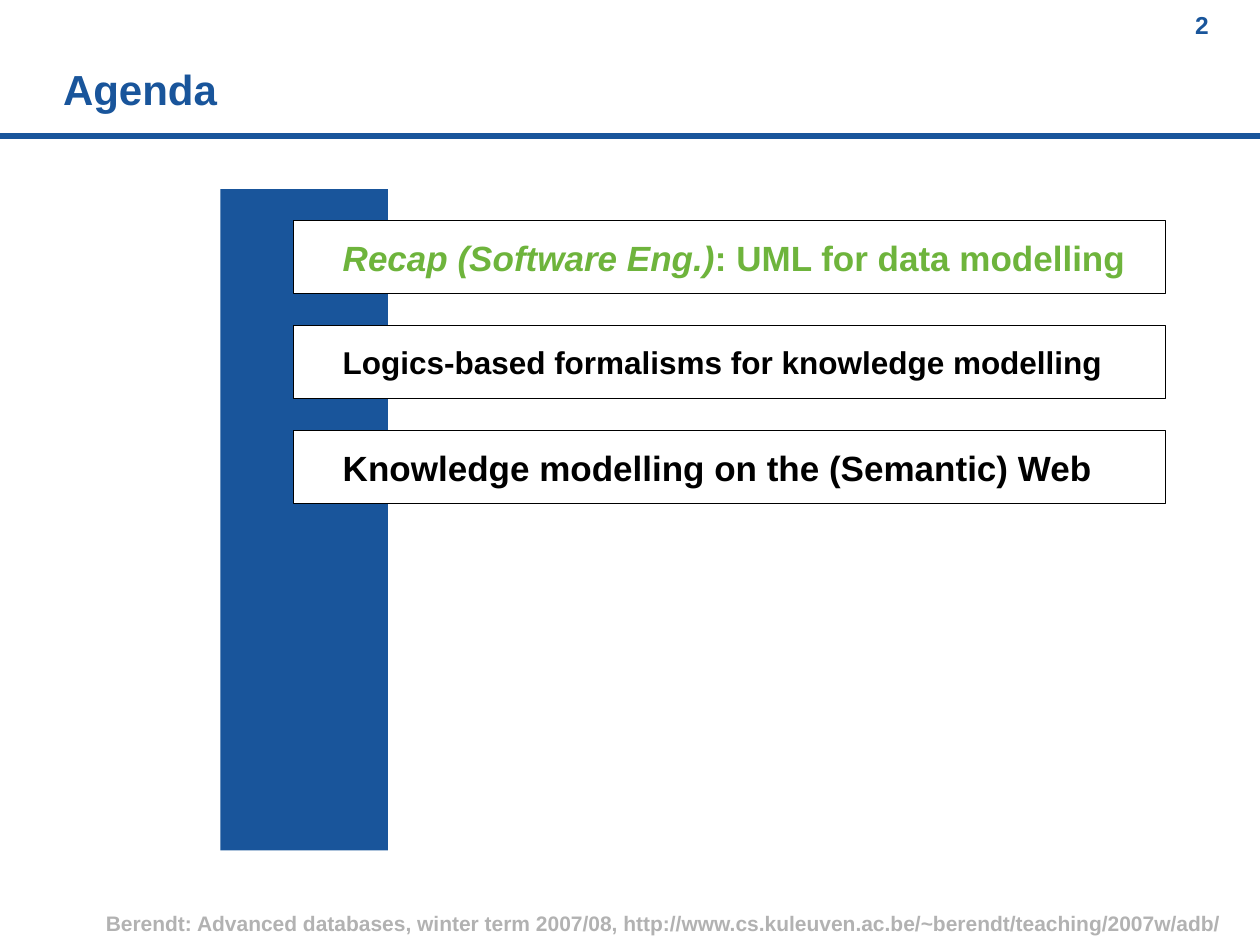
from pptx import Presentation
from pptx.dml.color import RGBColor
from pptx.enum import shapes, text
from pptx.oxml.ns import qn
from pptx.util import Inches, Pt

COLORS = {"blue": "19559B", "green": "6EB43C", "gray": "B2B2B2",
          "black": "000000", "white": "FFFFFF"}
FONT = "Arial"


def rgb(name):
    return RGBColor.from_string(COLORS[name])


def format_text(tf, size, color, align=text.PP_ALIGN.LEFT,
                anchor=text.MSO_ANCHOR.TOP, left=0, wrap=False):
    tf.word_wrap = wrap
    tf.auto_size = text.MSO_AUTO_SIZE.NONE
    tf.vertical_anchor = anchor
    tf.margin_left = Inches(left)
    tf.margin_right = tf.margin_top = tf.margin_bottom = 0
    p = tf.paragraphs[0]
    p.alignment = align
    for r in p.runs:
        r.font.name, r.font.size, r.font.bold = FONT, Pt(size), True
        r.font.color.rgb = rgb(color)


def add_title(s, title):
    sp = s.shapes.title
    sp.left, sp.top, sp.width, sp.height = map(Inches, (0.5, 0.5, 8.96, 0.58))
    sp.text_frame.text = title
    format_text(sp.text_frame, 24, "blue", wrap=True)


def add_label(s, box, label, size, color, **layout):
    sp = s.shapes.add_textbox(*map(Inches, box))
    sp.text_frame.text = label
    format_text(sp.text_frame, size, color, **layout)


def add_rule(s, y):
    line = s.shapes.add_connector(shapes.MSO_CONNECTOR.STRAIGHT,
                                  0, Inches(y), Inches(10), Inches(y))
    line.line.color.rgb = rgb("blue")
    line.line.width = Pt(3)
    sp_pr = line._element.spPr
    sp_pr.append(sp_pr.makeelement(qn("a:effectLst"), {}))


def add_box(s, box, fill, border=None):
    sp = s.shapes.add_shape(shapes.MSO_SHAPE.RECTANGLE, *map(Inches, box))
    sp.shadow.inherit = False
    sp.fill.solid()
    sp.fill.fore_color.rgb = rgb(fill)
    if border:
        sp.line.color.rgb = rgb(border)
        sp.line.width = Pt(0.75)
    else:
        sp.line.fill.background()
    return sp


def add_topic(s, top, parts, size, color):
    """Add an agenda entry; parts are (wording, italic) pairs."""
    sp = add_box(s, (2.33, top, 6.92, 0.58), "white", "black")
    p = sp.text_frame.paragraphs[0]
    for wording, italic in parts:
        r = p.add_run()
        r.text = wording
        r.font.italic = italic
    format_text(sp.text_frame, size, color,
                anchor=text.MSO_ANCHOR.MIDDLE, left=0.39)


def main():
    prs = Presentation()
    prs.slide_width, prs.slide_height = Inches(10), Inches(7.5)
    s = prs.slides.add_slide(prs.slide_layouts[5])

    # Header and footer
    add_label(s, (0.84, 7.23, 8.87, 0.2),
              "Berendt: Advanced databases, winter term 2007/08, "
              "http://www.cs.kuleuven.ac.be/~berendt/teaching/2007w/adb/",
              12, "gray", anchor=text.MSO_ANCHOR.MIDDLE)
    add_rule(s, 1.08)
    add_label(s, (8.97, 0.08, 1.14, 0.23), "2", 14, "blue",
              align=text.PP_ALIGN.CENTER)
    add_title(s, "Agenda")

    # Agenda entries on a vertical bar
    add_box(s, (1.75, 1.5, 1.33, 5.25), "blue")
    topics = [
        ([("Recap (Software Eng.)", True),
          (": UML for data modelling", False)], 20, "green"),
        ([("Logics-based formalisms for knowledge modelling", False)],
         18, "black"),
        ([("Knowledge modelling on the (Semantic) Web", False)], 20, "black"),
    ]
    for i, (parts, size, color) in enumerate(topics):
        add_topic(s, 1.75 + i * 2.5 / 3, parts, size, color)

    prs.save("out.pptx")


if __name__ == "__main__":
    main()
